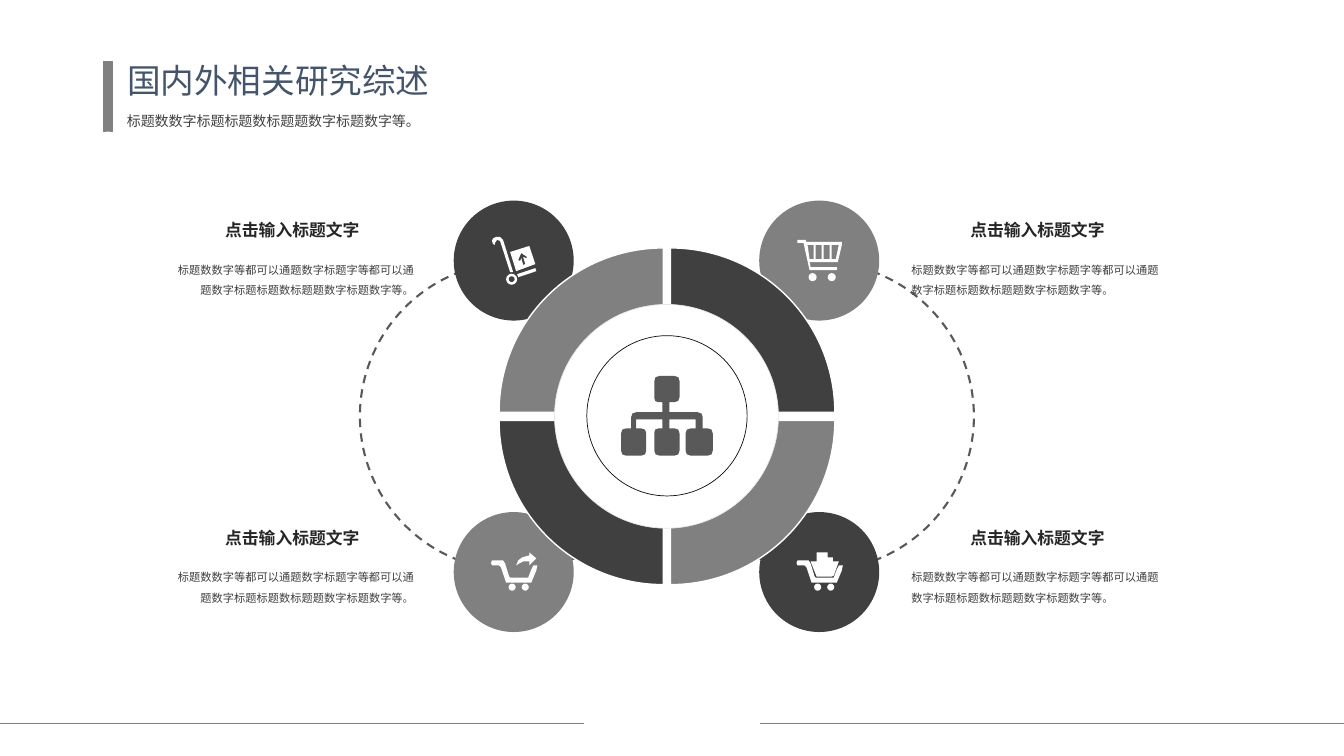
"""Build a research review slide: a quartered ring with four icons and captions."""
from math import cos, pi, sin

from lxml import etree
from pptx import Presentation
from pptx.dml.color import RGBColor
from pptx.enum.dml import MSO_LINE
from pptx.enum.shapes import MSO_CONNECTOR, MSO_SHAPE
from pptx.enum.text import MSO_ANCHOR, MSO_AUTO_SIZE, PP_ALIGN
from pptx.oxml.ns import qn
from pptx.util import Inches, Pt

LEFT, CENTER, RIGHT = PP_ALIGN.LEFT, PP_ALIGN.CENTER, PP_ALIGN.RIGHT
TOP, MIDDLE = MSO_ANCHOR.TOP, MSO_ANCHOR.MIDDLE
OVAL, WEDGE, ARC, RECT = MSO_SHAPE.OVAL, MSO_SHAPE.PIE_WEDGE, MSO_SHAPE.ARC, MSO_SHAPE.RECTANGLE
STRAIGHT, DASH, NO_FIT = MSO_CONNECTOR.STRAIGHT, MSO_LINE.DASH, MSO_AUTO_SIZE.NONE

FONT = "Noto Sans CJK SC"
GRAY, DARK, WHITE, SLATE = "808080", "404040", "FFFFFF", "595959"

TITLE = "国内外相关研究综述"
SUBTITLE = "标题数数字标题标题数标题题数字标题数字等。"
HEADING = "点击输入标题文字"
BODY = "标题数数字等都可以通题数字标题字等都可以通题数字标题标题数标题题数字标题数字等。"
CAPTIONS = [(HEADING, BODY)] * 4

# Outlines run clockwise in hundredths of an inch; a triple is a circle (x, y, radius).
TROLLEY = [
    [(46, 13), (45, 18), (40, 30), (15, 30), (10, 15), (8, 13), (1, 13), (0, 10.5), (1, 8),
     (12, 8), (14, 11), (18, 24), (19, 25), (37, 25), (40, 17), (42, 13)],
    (21, 34.5, 3.5), (34, 34.5, 3.5),
]
GOODS = [(35, 24), (20, 24), (14, 9), (20, 9), (20, 0), (31, 0), (31, 5), (36, 5),
         (36, 9), (42, 9), (37, 23)]
SHARE_ARROW = [(38, 13), (38, 9), (32, 9), (28, 11), (25, 13), (27, 8), (31, 5), (38, 3),
               (38, 0), (45, 6)]
HAND_TRUCK = [
    [(37, 10), (43, 28), (24, 35), (18, 16)],
    [(35, 21), (29, 17), (26, 24), (28, 25), (29, 22), (31, 29), (33, 28), (31, 21), (34, 22)],
    (19.5, 43, 5.5), (19.5, 43, 3),
    [(25, 38), (43, 32), (44, 35), (26, 41)],
    [(1, 8), (0, 5), (1, 2.5), (4, 1), (8, 1), (11, 4), (21, 36), (18, 36), (8, 5), (5, 4),
     (3, 7), (3, 9)],
]
BASKET = [
    [(44, 2), (44, 5), (40, 22), (12, 22), (13, 27), (39, 27), (39, 30), (12, 30), (6, 3),
     (0, 3), (0, 0), (8, 0), (9, 2)],
    [(10, 5), (16, 5), (16, 19), (12, 19)],
    [(18, 5), (24, 5), (24, 19), (18, 19)],
    [(26, 5), (32, 5), (32, 19), (26, 19)],
    [(34, 5), (41, 5), (38, 19), (34, 19)],
    (15, 37, 4), (34, 37, 4),
]
ORG_CHART = [
    [(91, 79), (64, 79), (64, 52), (74, 52), (74, 43), (48, 43), (48, 52), (58, 52), (58, 79),
     (33, 79), (33, 52), (41, 52), (41, 43), (15, 43), (15, 52), (25, 52), (25, 79), (0, 79),
     (0, 52), (10, 52), (10, 36), (41, 36), (41, 26), (33, 26), (33, 0), (58, 0), (58, 26),
     (48, 26), (48, 36), (81, 36), (81, 52), (91, 52)],
]
QUARTERS = [
    (0, 0, DARK, GRAY, HAND_TRUCK, 0.38, 0.35),
    (1, 0, GRAY, DARK, BASKET, 0.38, 0.39),
    (1, 1, DARK, GRAY, TROLLEY + [GOODS], 0.37, 0.40),
    (0, 1, GRAY, DARK, TROLLEY + [SHARE_ARROW], 0.37, 0.40),
]


def color(value):
    return RGBColor.from_string(value)


def write(box, text, size=8, ink=DARK, bold=False, align=LEFT, anchor=TOP, spacing=1.0,
          margins=(0.1, 0.05, 0.1, 0.05)):
    frame = box.text_frame
    frame.word_wrap = True
    frame.auto_size = NO_FIT
    frame.vertical_anchor = anchor
    (frame.margin_left, frame.margin_top,
     frame.margin_right, frame.margin_bottom) = map(Inches, margins)
    para = frame.paragraphs[0]
    para.alignment = align
    para.line_spacing = spacing
    span = para.add_run()
    span.text = text
    span.font.size, span.font.bold, span.font.name = Pt(size), bold, FONT
    span.font.color.rgb = color(ink)
    etree.SubElement(span._r.get_or_add_rPr(), qn("a:ea")).set("typeface", FONT)


def place(item, left, top, width, height):
    item.left, item.top, item.width, item.height = map(Inches, (left, top, width, height))


def text_box(page, area, text, **style):
    write(page.shapes.add_textbox(*map(Inches, area)), text, **style)


def paint(shape, fill=None, line=None, weight=0.5):
    shape.shadow.inherit = False
    if fill:
        shape.fill.solid()
        shape.fill.fore_color.rgb = color(fill)
    else:
        shape.fill.background()
    if line:
        shape.line.color.rgb = color(line)
        shape.line.width = Pt(weight)
    else:
        shape.line.fill.background()


def add_shape(page, kind, area, **style):
    shape = page.shapes.add_shape(kind, *map(Inches, area))
    paint(shape, **style)
    return shape


def rounded(points, radius):
    """Return the outline with its outward corners rounded by three points each."""
    result = []
    for index, (x, y) in enumerate(points):
        (px, py), (nx, ny) = points[index - 1], points[(index + 1) % len(points)]
        before = ((px - x) ** 2 + (py - y) ** 2) ** 0.5
        after = ((nx - x) ** 2 + (ny - y) ** 2) ** 0.5
        if not radius or (x - px) * (ny - y) - (y - py) * (nx - x) <= 0:
            result.append((x, y))
            continue
        cut = min(radius, before / 2, after / 2)
        for t in (0, 0.5, 1):
            start, end = (1 - t) ** 2 * cut / before, t ** 2 * cut / after
            result.append((x + (px - x) * start + (nx - x) * end,
                           y + (py - y) * start + (ny - y) * end))
    return result


def circle(x, y, radius):
    return [(x + radius * cos(pi * k / 6), y + radius * sin(pi * k / 6)) for k in range(12)]


def add_icon(page, contours, left, top, fill=WHITE, radius=0):
    builder = None
    for contour in contours:
        points = circle(*contour) if isinstance(contour, tuple) else rounded(contour, radius)
        points = [(Inches(left + x / 100), Inches(top + y / 100)) for x, y in points]
        if builder is None:
            builder = page.shapes.build_freeform(*points[0])
        else:
            builder.move_to(*points[0])
        builder.add_line_segments(points[1:], close=True)
    paint(builder.convert_to_shape(), fill=fill)


def main():
    deck = Presentation()
    deck.slide_width, deck.slide_height = Inches(13.33), Inches(7.5)
    page = deck.slides.add_slide(deck.slide_layouts[5])

    for start, end in ((0, 5.79), (7.54, 13.33)):
        rule = page.shapes.add_connector(STRAIGHT, *map(Inches, (start, 7.18, end, 7.18)))
        rule.line.color.rgb = color(GRAY)
        rule.line.width = Pt(0.5)
        etree.SubElement(rule._element.spPr, qn("a:effectLst"))

    add_shape(page, RECT, (1.03, 0.61, 0.08, 0.69), fill=GRAY, line=GRAY)
    place(page.shapes.title, 1.16, 0.62, 3.34, 0.43)
    write(page.shapes.title, TITLE, size=24, ink="44546A", spacing=0.8)
    text_box(page, (1.16, 1.07, 3.76, 0.27), SUBTITLE, size=10)

    for left, turn in ((3.57, 270), (6.6, 90)):
        arc = add_shape(page, ARC, (left, 2.6, 3.06, 3.06), line=SLATE, weight=1.5)
        arc.adjustments[0], arc.adjustments[1] = 107.37 * 0.6, 0
        arc.rotation = turn
        arc.line.dash_style = DASH
        if turn == 90:
            arc._element.spPr.xfrm.set("flipH", "1")

    for column, row, disc, _, icon, dx, dy in QUARTERS:
        left, top = 4.5 + 3.03 * column, 1.99 + 3.09 * row
        add_shape(page, OVAL, (left, top, 1.19, 1.19), fill=disc)
        add_icon(page, icon, left + dx, top + dy)

    for index, (column, row, _, tone, *_) in enumerate(QUARTERS):
        area = (4.95 + 1.7 * column, 2.46 + 1.71 * row, 1.63, 1.63)
        add_shape(page, WEDGE, area, fill=tone, line=WHITE, weight=1).rotation = 90 * index

    add_shape(page, OVAL, (5.5, 3.02, 2.22, 2.22), fill=WHITE, line="E7E6E6")
    add_shape(page, OVAL, (5.82, 3.33, 1.59, 1.59), line="0D0D0D")
    add_icon(page, ORG_CHART, 6.16, 3.73, fill=SLATE, radius=5)

    sides = [(1.69, 2.81, RIGHT, (0, 0, 0.39, 0)), (8.73, 3.12, LEFT, (0.31, 0, 0.31, 0))]
    for (column, row, *_), (heading, body) in zip(QUARTERS, CAPTIONS):
        left, width, align, margins = sides[column]
        top = 2.12 + 3.05 * row
        text_box(page, (left, top, width, 0.32), heading, size=12, ink="262626", bold=True,
                 align=CENTER, anchor=MIDDLE, margins=margins)
        text_box(page, (left, top + 0.32, width, 0.61), body, align=align, anchor=MIDDLE,
                 spacing=1.5, margins=margins)

    deck.save("out.pptx")


if __name__ == "__main__":
    main()
